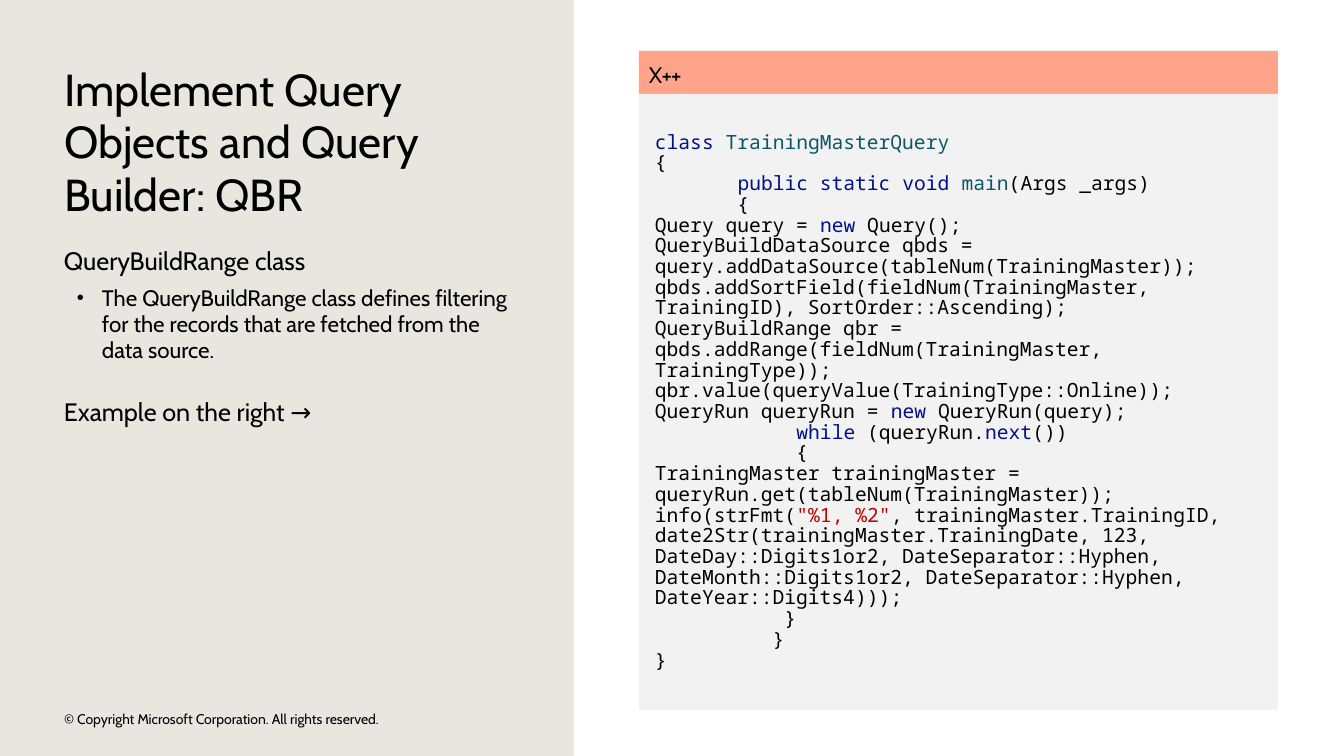
from lxml import etree
from pptx import Presentation
from pptx.dml.color import RGBColor
from pptx.enum.shapes import MSO_SHAPE as Shape
from pptx.enum.text import MSO_ANCHOR as Anchor, MSO_AUTO_SIZE as AutoSize, PP_ALIGN as Align
from pptx.oxml.ns import qn
from pptx.util import Emu, Pt

EMU_PER_PX = 914400 / 100.8
COLOURS = {
    "sand": "E8E6DF", "white": "FFFFFF", "coral": "FFA38B", "grey": "F2F2F2",
    "text": "000000", "keyword": "001188", "name": "0B556A", "string": "C00000",
}
PROSE_FONT, CODE_FONT = "Cabin", "Noto Sans Mono"

# Each line is a list of spans: plain text, or (text, colour)
CODE = [
    [("class ", "keyword"), ("TrainingMasterQuery", "name")],
    ["{"],
    ["       ", ("public static void ", "keyword"), ("main", "name"), "(Args _args)"],
    ["       {"],
    ["Query query = ", ("new", "keyword"), " Query();"],
    ["QueryBuildDataSource qbds = query.addDataSource(tableNum(TrainingMaster)); "
     "qbds.addSortField(fieldNum(TrainingMaster, TrainingID), SortOrder::Ascending);"],
    ["QueryBuildRange qbr = qbds.addRange(fieldNum(TrainingMaster, TrainingType));"],
    ["qbr.value(queryValue(TrainingType::Online));"],
    ["QueryRun queryRun = ", ("new ", "keyword"), "QueryRun(query);"],
    ["            ", ("while", "keyword"), " (queryRun.", ("next", "keyword"), "())"],
    ["            {"],
    ["TrainingMaster trainingMaster = queryRun.get(tableNum(TrainingMaster));"],
    ["info(strFmt(", ("\"%1, %2\"", "string"),
     ", trainingMaster.TrainingID, date2Str(trainingMaster.TrainingDate, 123, "
     "DateDay::Digits1or2, DateSeparator::Hyphen, DateMonth::Digits1or2, "
     "DateSeparator::Hyphen, DateYear::Digits4)));"],
    ["           }"],
    ["          }"],
    ["}"],
]


def px(value):
    return Emu(round(value * EMU_PER_PX))


def colour(name):
    return RGBColor.from_string(COLOURS[name])


def apply(target, formats):
    for name, value in formats.items():
        setattr(target, name, value)


def set_frame(shape, anchor=Anchor.TOP, inset_x=0, inset_y=0):
    frame = shape.text_frame
    apply(frame, {
        "word_wrap": True, "auto_size": AutoSize.NONE, "vertical_anchor": anchor,
        "margin_left": px(inset_x), "margin_right": px(inset_x),
        "margin_top": px(inset_y), "margin_bottom": px(inset_y),
    })
    return frame


def write(para, spans, size, font=PROSE_FONT, **formats):
    apply(para, {"alignment": Align.LEFT, **formats})
    for item in spans:
        text, tint = item if isinstance(item, tuple) else (item, "text")
        span = para.add_run()
        span.text = text
        apply(span.font, {"name": font, "size": Pt(size)})
        span.font.color.rgb = colour(tint)


def add_bullet(para, left, hanging):
    properties = para._p.get_or_add_pPr()
    properties.set("marL", str(px(left)))
    properties.set("indent", str(-px(hanging)))
    etree.SubElement(properties, qn("a:buSzPct"), val="90000")
    etree.SubElement(properties, qn("a:buFont"), typeface="Arial")
    etree.SubElement(properties, qn("a:buChar"), char="•")


def add_panel(page, fill, *bounds):
    panel = page.shapes.add_shape(Shape.RECTANGLE, *map(px, bounds))
    panel.shadow.inherit = False
    panel.fill.solid()
    panel.fill.fore_color.rgb = colour(fill)
    panel.line.fill.background()
    return panel


def add_text_box(page, *bounds, anchor=Anchor.TOP):
    return set_frame(page.shapes.add_textbox(*map(px, bounds)), anchor)


def add_title(page, text):
    title = page.shapes.title
    apply(title, {"left": px(64), "top": px(64), "width": px(446), "height": px(163)})
    write(set_frame(title).paragraphs[0], [text], 32, line_spacing=0.98)


def add_summary(page):
    frame = add_text_box(page, 64, 247, 446, 188)
    write(frame.paragraphs[0], ["QueryBuildRange class"], 18, line_spacing=0.98)
    bullet = frame.add_paragraph()
    add_bullet(bullet, 38, 25)
    write(bullet, ["The QueryBuildRange class defines filtering for the records "
                   "that are fetched from the data source."], 16,
          line_spacing=0.98, space_before=Pt(6), space_after=Pt(6))
    write(frame.add_paragraph(), ["Example on the right →"], 18,
          line_spacing=0.98, space_before=Pt(18))


def add_code_card(page):
    header = add_panel(page, "coral", 639, 51, 639, 43)
    label = set_frame(header, inset_x=10, inset_y=10).paragraphs[0]
    write(label, ["X++"], 16, space_after=Pt(4))
    label.runs[0].font._element.set("spc", "-50")

    listing = add_panel(page, "grey", 639, 94, 639, 616)
    frame = set_frame(listing, Anchor.MIDDLE, 16, 12)
    for index, spans in enumerate(CODE):
        para = frame.add_paragraph() if index else frame.paragraphs[0]
        write(para, spans, 14, CODE_FONT, line_spacing=0.88)


def main():
    deck = Presentation()
    apply(deck, {"slide_width": px(1344), "slide_height": px(756)})
    page = deck.slides.add_slide(deck.slide_layouts[5])
    page.background.fill.solid()
    page.background.fill.fore_color.rgb = colour("sand")

    add_panel(page, "white", 574, 0, 770, 756)
    add_title(page, "Implement Query Objects and Query Builder: QBR")
    add_summary(page)
    add_code_card(page)
    footer = add_text_box(page, 64, 708, 458, 22, anchor=Anchor.MIDDLE)
    write(footer.paragraphs[0],
          ["© Copyright Microsoft Corporation. All rights reserved."], 10)
    deck.save("out.pptx")


if __name__ == "__main__":
    main()
